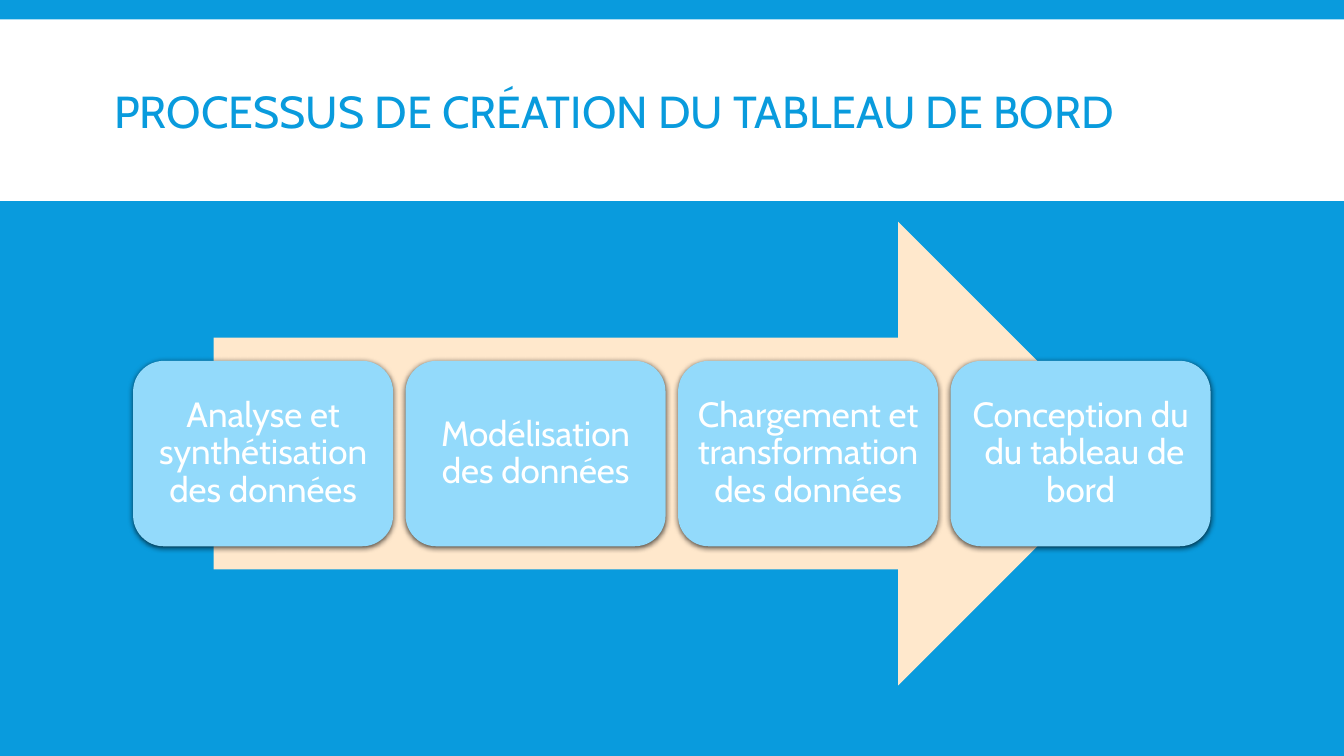
"""Builds a slide showing the four steps of making a dashboard along an arrow."""
import dataclasses
import typing

import lxml.etree
import pptx
import pptx.dml.color
import pptx.enum.shapes
import pptx.enum.text
import pptx.oxml.ns
import pptx.util

Pt = pptx.util.Pt
KINDS = pptx.enum.shapes.MSO_SHAPE
COLORS = {"blue": "099BDD", "white": "FFFFFF", "cream": "FFE8CC", "sky": "93DAFB", "black": "000000"}
FONT = "Cabin"
WIDE, HIGH = 960, 540
STEPS = (
    "Analyse et synthétisation des données",
    "Modélisation des données",
    "Chargement et transformation des données",
    "Conception du  du tableau de bord",
)
PITCH = 194.64


@dataclasses.dataclass(frozen=True)
class Box:
    left: float
    top: float
    width: float
    height: float

    def sizes(self) -> tuple[pptx.util.Length, ...]:
        return tuple(Pt(size) for size in dataclasses.astuple(self))


BAND = Box(0, 13.9, WIDE, 129.6)
TITLE = Box(13.68, 22.32, 850.6, 118.8)
ARROW = Box(152.64, 158.4, 654.5, 331.2)
CARDS = [Box(95.04 + PITCH * i, 257.76, 185.76, 132.48) for i in range(len(STEPS))]


def tint(name: str) -> pptx.dml.color.RGBColor:
    return pptx.dml.color.RGBColor.from_string(COLORS[name])


def draw(slide: typing.Any, kind: typing.Any, box: Box, color: str) -> typing.Any:
    shape = slide.shapes.add_shape(kind, *box.sizes())
    shape.shadow.inherit = False
    shape.fill.solid()
    shape.fill.fore_color.rgb = tint(color)
    shape.line.fill.background()
    return shape


def shade(shape: typing.Any) -> None:
    qn = pptx.oxml.ns.qn
    effects = shape.element.spPr.find(qn("a:effectLst"))
    outer = lxml.etree.SubElement(
        effects, qn("a:outerShdw"), blurRad=str(Pt(4)), dist=str(Pt(1.2)),
        dir=str(90 * 60000), algn="ctr", rotWithShape="0")
    color = lxml.etree.SubElement(outer, qn("a:srgbClr"), val=COLORS["black"])
    lxml.etree.SubElement(color, qn("a:alpha"), val="68000")


def write(shape: typing.Any, text: str, *, size: float, color: str, space: float) -> None:
    frame = shape.text_frame
    frame.word_wrap = True
    frame.vertical_anchor = pptx.enum.text.MSO_ANCHOR.MIDDLE
    frame.margin_left = frame.margin_right = Pt(7.2)
    frame.margin_top = frame.margin_bottom = Pt(7.2)
    line = frame.paragraphs[0]
    line.alignment = pptx.enum.text.PP_ALIGN.CENTER
    line.line_spacing = space
    run = line.add_run()
    run.text = text
    run.font.name = FONT
    run.font.size = Pt(size)
    run.font.color.rgb = tint(color)


def main() -> None:
    deck = pptx.Presentation()
    deck.slide_width, deck.slide_height = Pt(WIDE), Pt(HIGH)
    slide = deck.slides.add_slide(deck.slide_layouts[6])
    slide.background.fill.solid()
    slide.background.fill.fore_color.rgb = tint("blue")

    draw(slide, KINDS.RECTANGLE, BAND, "white")
    title = slide.shapes.add_textbox(*TITLE.sizes())
    write(title, "PROCESSUS DE CRÉATION DU TABLEAU DE BORD", size=32, color="blue", space=0.85)

    draw(slide, KINDS.RIGHT_ARROW, ARROW, "cream")
    for box, step in zip(CARDS, STEPS):
        card = draw(slide, KINDS.ROUNDED_RECTANGLE, box, "sky")
        shade(card)
        write(card, step, size=25, color="white", space=0.9)

    deck.save("out.pptx")


if __name__ == "__main__":
    main()
